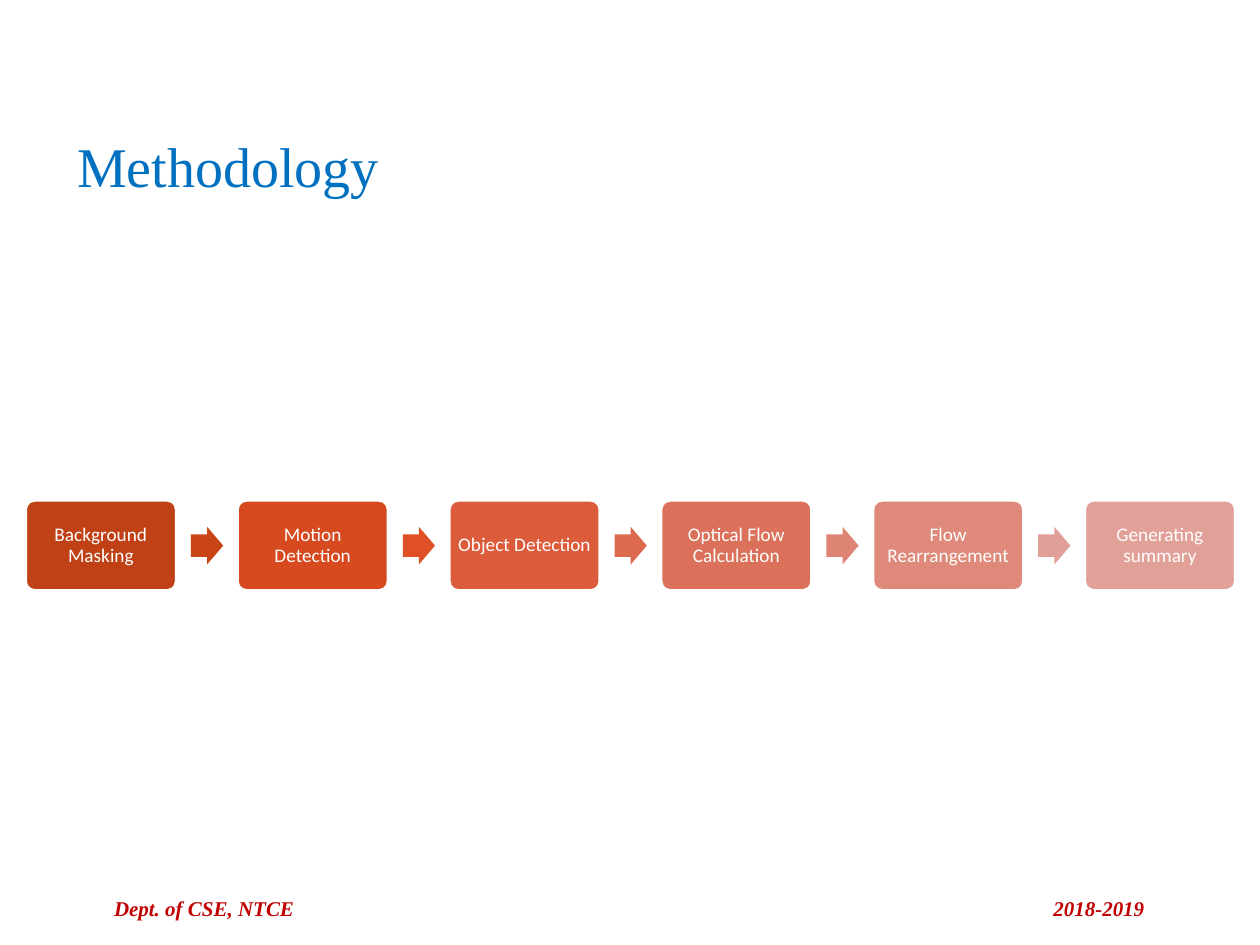
import pptx
import pptx.util
import pptx.dml.color
import pptx.enum.shapes
import pptx.enum.text
import lxml.etree

Cm, Pt = pptx.util.Cm, pptx.util.Pt
RGBColor = pptx.dml.color.RGBColor
MSO_SHAPE = pptx.enum.shapes.MSO_SHAPE
PP_ALIGN = pptx.enum.text.PP_ALIGN
MSO_ANCHOR = pptx.enum.text.MSO_ANCHOR

WHITE = RGBColor(0xFF, 0xFF, 0xFF)
TITLE_BLUE = RGBColor(0x00, 0x70, 0xC0)
FOOTER_RED = RGBColor(0xC0, 0x00, 0x00)
STEPS = [
    ("Background Masking", RGBColor(0xBF, 0x41, 0x15)),
    ("Motion Detection", RGBColor(0xD7, 0x49, 0x1E)),
    ("Object Detection", RGBColor(0xDC, 0x5B, 0x3A)),
    ("Optical Flow Calculation", RGBColor(0xDC, 0x71, 0x5B)),
    ("Flow Rearrangement", RGBColor(0xDE, 0x89, 0x7A)),
    ("Generating summary", RGBColor(0xE1, 0xA0, 0x98)),
]
ARROW_COLORS = [
    RGBColor(0xCA, 0x45, 0x16),
    RGBColor(0xDF, 0x50, 0x27),
    RGBColor(0xDD, 0x69, 0x4F),
    RGBColor(0xDE, 0x84, 0x74),
    RGBColor(0xE1, 0xA0, 0x97),
]
LEFT, PITCH = 0.51, 4.27


def add_run(p, text, font, size, color):
    """Add one formatted run to a paragraph and return it."""
    r = p.add_run()
    r.text = text
    r.font.name = font
    r.font.size = Pt(size)
    r.font.color.rgb = color
    return r


def add_filled(kind, x, y, w, h, color, *adjustments):
    """Add a flat preset shape, measured in centimetres."""
    sp = s.shapes.add_shape(kind, Cm(x), Cm(y), Cm(w), Cm(h))
    sp.shadow.inherit = False
    sp.fill.solid()
    sp.fill.fore_color.rgb = color
    for i, value in enumerate(adjustments):
        sp.adjustments[i] = value
    return sp


prs = pptx.Presentation()
prs.slide_width, prs.slide_height = Cm(25.4), Cm(19.05)
s = prs.slides.add_slide(prs.slide_layouts[5])

# Title
title = s.shapes.title
title.left, title.top, title.width, title.height = Cm(1.3), Cm(2.51), Cm(22.86), Cm(1.63)
tf = title.text_frame
tf.auto_size = pptx.enum.text.MSO_AUTO_SIZE.NONE
tf.vertical_anchor = MSO_ANCHOR.MIDDLE
p = tf.paragraphs[0]
p.alignment = PP_ALIGN.LEFT
add_run(p, "Methodology", "Times New Roman", 32, TITLE_BLUE)

# Process steps
for i, (label, color) in enumerate(STEPS):
    x = LEFT + i * PITCH
    step = add_filled(MSO_SHAPE.ROUNDED_RECTANGLE, x, 10.08, 3.05, 1.83, color, 0.1)
    step.line.color.rgb = WHITE
    step.line.width = Pt(2)
    tf = step.text_frame
    tf.word_wrap = True
    tf.vertical_anchor = MSO_ANCHOR.MIDDLE
    tf.margin_left = tf.margin_right = tf.margin_top = tf.margin_bottom = Cm(0.1)
    p = tf.paragraphs[0]
    p.alignment = PP_ALIGN.CENTER
    p.line_spacing = 0.9
    add_run(p, label, "Calibri", 11, WHITE)

# Arrows between the steps
for i, color in enumerate(ARROW_COLORS):
    x = LEFT + i * PITCH + 3.34
    arrow = add_filled(MSO_SHAPE.RIGHT_ARROW, x, 10.62, 0.65, 0.76, color, 0.6, 0.5)
    arrow.line.fill.background()

# Footer with a right-aligned tab for the year
footer = s.shapes.add_textbox(Cm(0), Cm(17.93), Cm(25.4), Cm(0.99))
tf = footer.text_frame
tf.word_wrap = True
tf.margin_left = Cm(2.3)
p = tf.paragraphs[0]
p.alignment = PP_ALIGN.LEFT
ns = "{http://schemas.openxmlformats.org/drawingml/2006/main}"
tabs = lxml.etree.SubElement(p._p.get_or_add_pPr(), ns + "tabLst")
lxml.etree.SubElement(tabs, ns + "tab", pos=str(Cm(20.77)), algn="r")
for text in ("Dept. of CSE, NTCE", "\t2018-2019"):
    r = add_run(p, text, "Times New Roman", 12, FOOTER_RED)
    r.font.bold = r.font.italic = True

prs.save("out.pptx")
